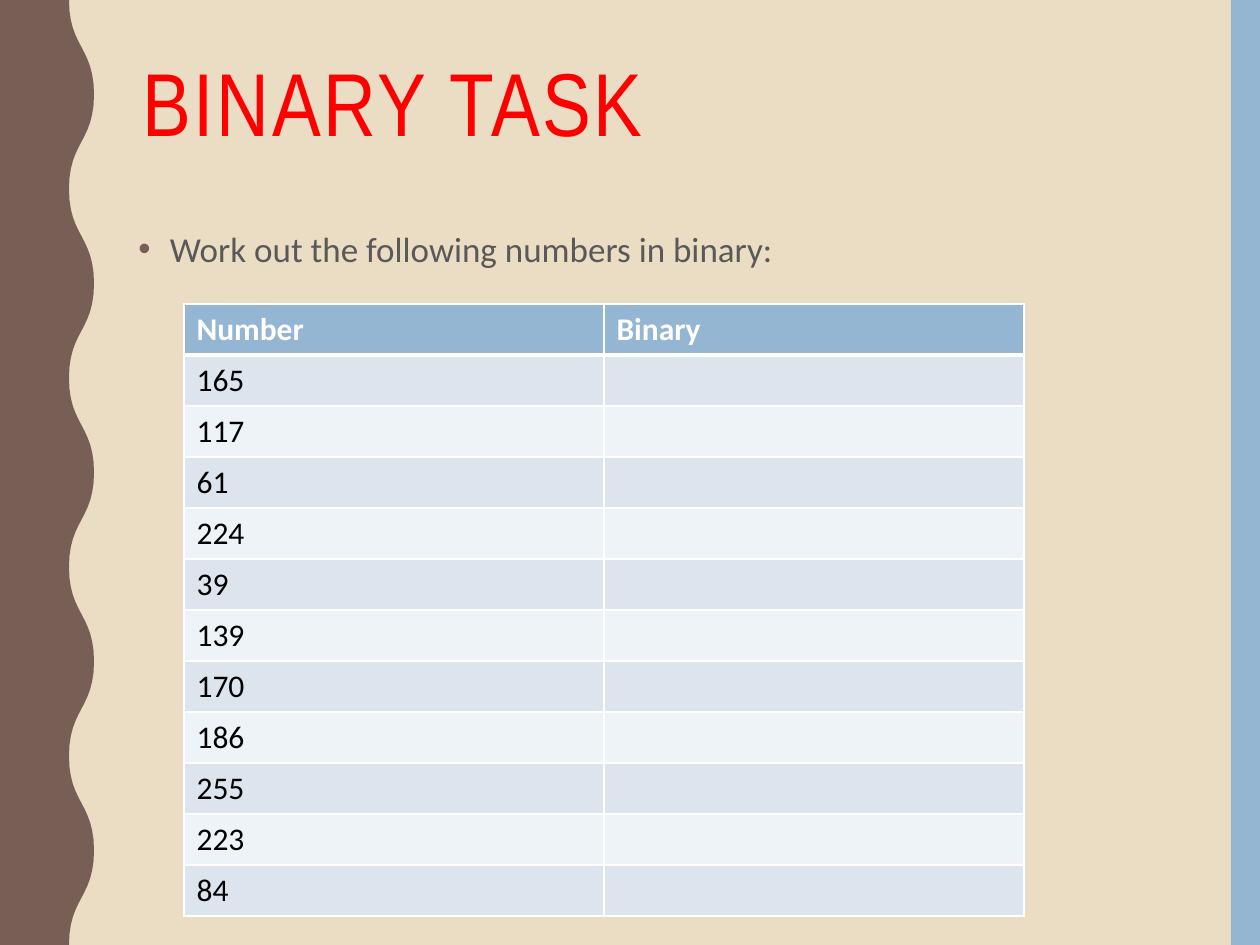
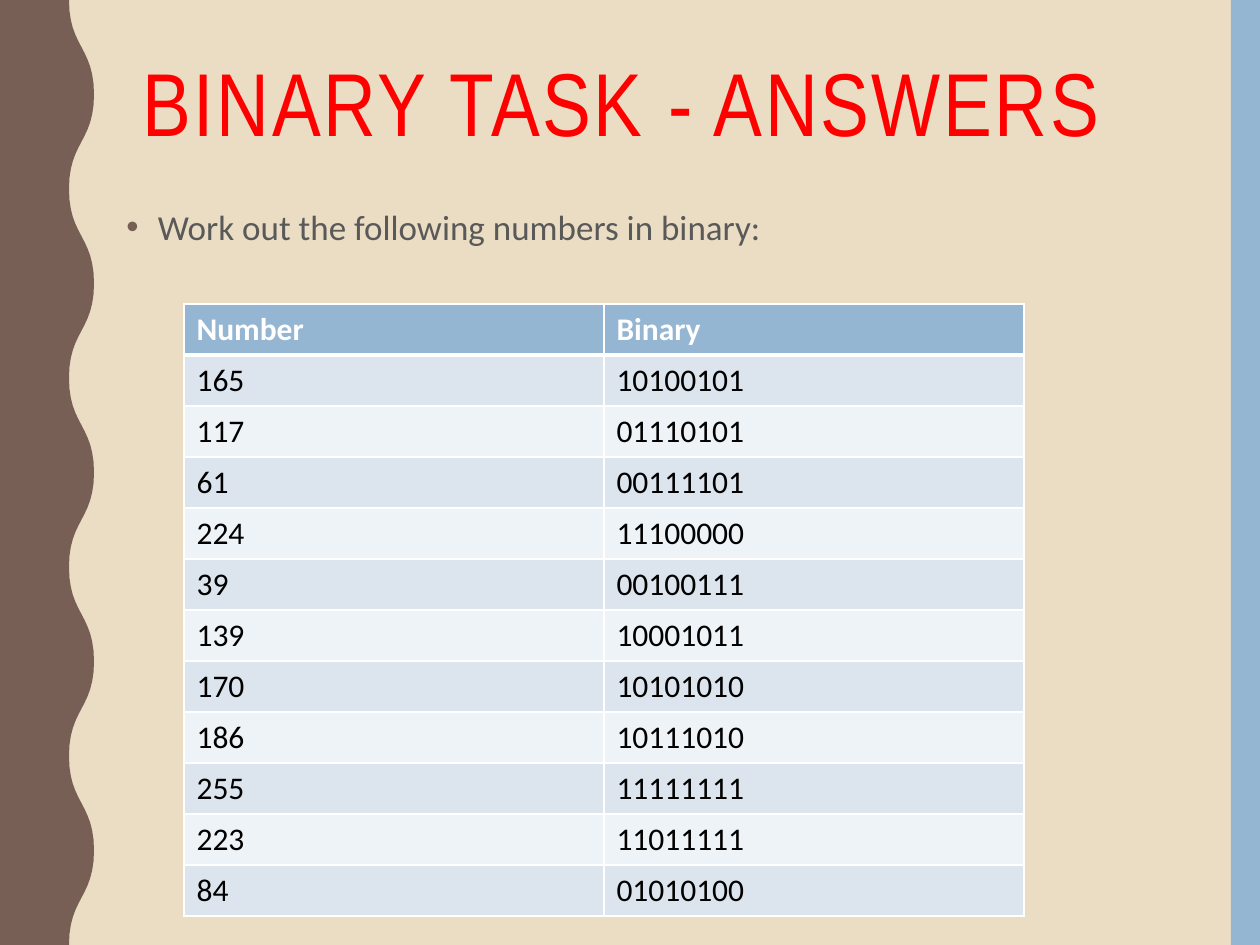
"""Build two slides: a binary conversion task and its answers."""
from pptx import Presentation
from pptx import util as u
from pptx.dml.color import RGBColor
from pptx.enum import shapes, text
from pptx.oxml import parse_xml
from pptx.oxml.ns import nsdecls

WIDTH, HEIGHT = 1260, 945
SCALE = 914400 / 126
COLOURS = {
    "sand": "EBDDC3", "brown": "775F55", "blue": "94B6D2", "red": "FF0000",
    "grey": "595959", "white": "FFFFFF", "black": "000000",
    "odd_row": "DCE5EE", "even_row": "EEF3F7",
}
TITLE_FONT, BODY_FONT = "Arial Narrow", "Calibri"
NUMBERS = [165, 117, 61, 224, 39, 139, 170, 186, 255, 223, 84]
INSTRUCTION = "Work out the following numbers in binary:"


def px(length):
    """Turn a length in px into EMU."""
    return u.Emu(round(length * SCALE))


def colour(name):
    """Return the named colour."""
    return RGBColor.from_string(COLOURS[name])


def place(box, left, top, width, height):
    """Move and size a box, given in px."""
    box.left, box.top, box.width, box.height = map(px, (left, top, width, height))


def paint(shape, name):
    """Give a shape a flat fill without line or shadow."""
    shape.fill.solid()
    shape.fill.fore_color.rgb = colour(name)
    shape.line.fill.background()
    shape.shadow.inherit = False


def add_span(para, words, size, name, font=BODY_FONT, bold=False):
    """Add one formatted run to a paragraph."""
    span = para.add_run()
    span.text = words
    span.font.size = u.Pt(size)
    span.font.name = font
    span.font.bold = bold
    span.font.color.rgb = colour(name)
    return span


def add_side_band(page):
    """Add the blue band along the right edge."""
    band = page.shapes.add_shape(
        shapes.MSO_SHAPE.RECTANGLE, px(1231), 0, px(WIDTH - 1231), px(HEIGHT))
    paint(band, "blue")


def wave_points(trough=69, crest=94, halves=10, steps=12):
    """Return points down a wavy edge that swings between trough and crest."""
    rise = HEIGHT / halves
    points = []
    for half in range(halves):
        start, end = (trough, crest) if half % 2 == 0 else (crest, trough)
        for step in range(1, steps + 1):
            t = step / steps
            x = start + (end - start) * t * t * (3 - 2 * t)
            y = rise * (half + 1.5 * t * (1 - t) + t ** 3)
            points.append((px(x), px(y)))
    return points


def add_wave(page):
    """Add the brown wavy band along the left edge."""
    builder = page.shapes.build_freeform(0, 0)
    builder.add_line_segments(
        [(px(69), 0)] + wave_points() + [(0, px(HEIGHT))], close=True)
    paint(builder.convert_to_shape(), "brown")


def set_title(page, words):
    """Place and format the title."""
    title = page.shapes.title
    place(title, 130, 53, 1052, 205)
    frame = title.text_frame
    frame.word_wrap = True
    frame.auto_size = text.MSO_AUTO_SIZE.NONE
    frame.vertical_anchor = text.MSO_ANCHOR.TOP
    para = frame.paragraphs[0]
    para.alignment = text.PP_ALIGN.LEFT
    para.line_spacing = 0.9
    span = add_span(para, words, 51, "red", TITLE_FONT)
    span.font._element.set("spc", "150")


def add_instruction(page, left, top):
    """Add the bulleted instruction."""
    box = page.shapes.add_textbox(px(left), px(top), px(1052), px(495))
    frame = box.text_frame
    frame.word_wrap = True
    para = frame.paragraphs[0]
    para.line_spacing = 1.1
    para.space_before = u.Pt(7)
    add_span(para, INSTRUCTION, 20, "grey")
    props = para._p.get_or_add_pPr()
    props.set("marL", str(u.Inches(0.25)))
    props.set("indent", str(-u.Inches(0.25)))
    for part in (f'<a:buClr {nsdecls("a")}><a:srgbClr val="{COLOURS["brown"]}"/></a:buClr>',
                 f'<a:buFont {nsdecls("a")} typeface="Arial"/>',
                 f'<a:buChar {nsdecls("a")} char="•"/>'):
        props.append(parse_xml(part))


def set_borders(cell, top, bottom):
    """Draw white cell borders, with top and bottom widths in points."""
    props = cell._tc.get_or_add_tcPr()
    for side, points in (("L", 1), ("R", 1), ("T", top), ("B", bottom)):
        props.append(parse_xml(
            f'<a:ln{side} {nsdecls("a")} w="{u.Pt(points)}"><a:solidFill>'
            f'<a:srgbClr val="{COLOURS["white"]}"/></a:solidFill></a:ln{side}>'))


def add_number_table(page, answers):
    """Add the table of numbers, with the binary column filled on request."""
    rows = [("Number", "Binary")]
    rows += [(str(n), format(n, "08b") if answers else "") for n in NUMBERS]
    table = page.shapes.add_table(
        len(rows), 2, px(184), px(304), px(840), px(51 * len(rows))).table
    table.first_row = table.horz_banding = False
    for row, values in enumerate(rows):
        header = row == 0
        fill = "blue" if header else "odd_row" if row % 2 else "even_row"
        for column, value in enumerate(values):
            cell = table.cell(row, column)
            set_borders(cell, 3 if row == 1 else 1, 3 if header else 1)
            cell.fill.solid()
            cell.fill.fore_color.rgb = colour(fill)
            para = cell.text_frame.paragraphs[0]
            if value:
                add_span(para, value, 18, "white" if header else "black", bold=header)
            else:
                para.font.size = u.Pt(18)


def add_page(deck, title, left, top, answers):
    """Add one slide with its bands, title, instruction and table."""
    page = deck.slides.add_slide(deck.slide_layouts[5])
    add_side_band(page)
    add_wave(page)
    set_title(page, title)
    add_instruction(page, left, top)
    add_number_table(page, answers)


def main():
    """Build and save the deck."""
    deck = Presentation()
    deck.slide_width, deck.slide_height = px(WIDTH), px(HEIGHT)
    background = deck.slide_master.background.fill
    background.solid()
    background.fore_color.rgb = colour("sand")
    add_page(deck, "BINARY TASK", 126, 217, answers=False)
    add_page(deck, "BINARY TASK - ANSWERS", 114, 195, answers=True)
    deck.save("out.pptx")


if __name__ == "__main__":
    main()
